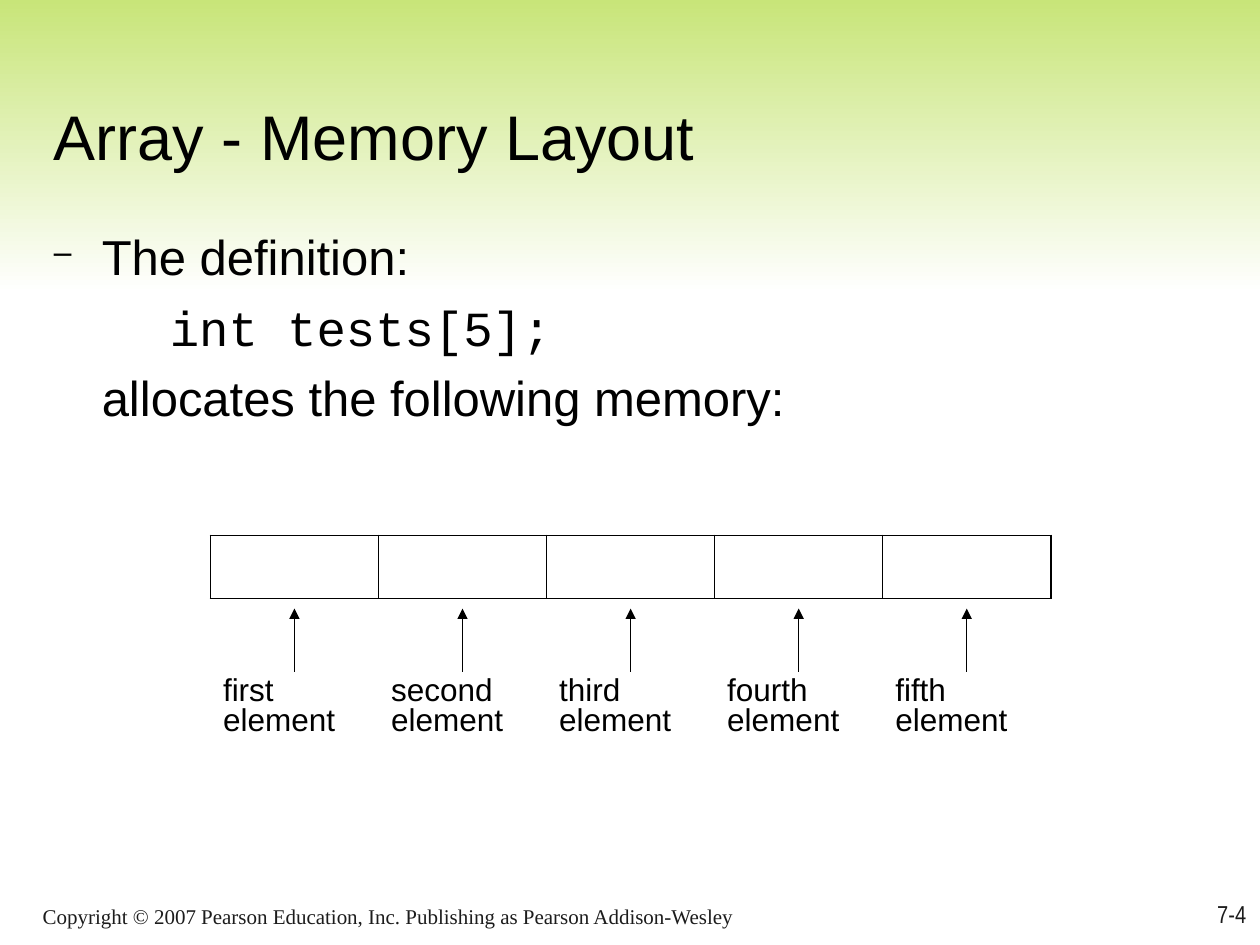
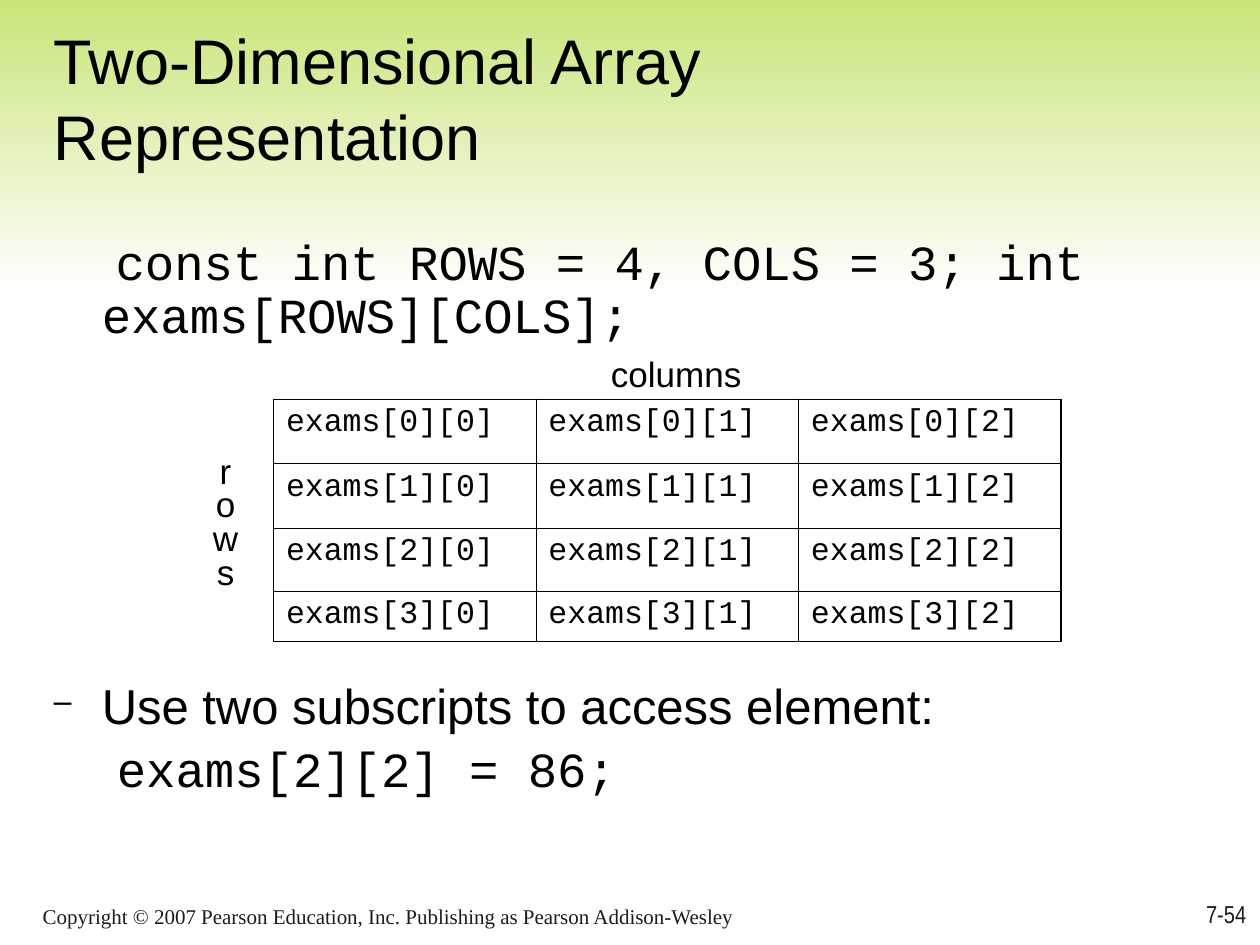
import pptx
import pptx.util
import pptx.dml.color
import pptx.enum.shapes
import pptx.enum.text
import pptx.oxml
import pptx.oxml.ns
import lxml.etree

Inches = pptx.util.Inches
Pt = pptx.util.Pt
Align = pptx.enum.text.PP_ALIGN
Anchor = pptx.enum.text.MSO_ANCHOR
qn = pptx.oxml.ns.qn


# Shared colours, fonts and sizes
class Theme:
    black = "000000"
    grey = "1C1C1C"
    lime = "C8E579"
    white = "FFFFFF"
    sans = "Arial"
    slim = "Arial Narrow"
    mono = "Courier New"
    serif = "Times New Roman"
    title = 36
    body = 28
    label = 20
    cell = 18
    page = 14
    foot = 12
    thick = 1.08
    thin = 0.45


def write(frame, text, size=Theme.body, font=Theme.sans, color=Theme.black,
          align=Align.LEFT, line=None, before=0, left=0, first=0, dash=False):
    """Add one paragraph to a text frame, filling the first if it is empty."""
    para = frame.paragraphs[0]
    if para.runs:
        para = frame.add_paragraph()
    props = para._p.get_or_add_pPr()
    props.set("marL", str(Inches(left)))
    props.set("indent", str(Inches(first)))
    if dash:
        tint = lxml.etree.SubElement(props, qn("a:buClr"))
        lxml.etree.SubElement(tint, qn("a:srgbClr"), val=color)
        lxml.etree.SubElement(props, qn("a:buSzPct"), val="65000")
        lxml.etree.SubElement(props, qn("a:buChar"), char="–")
    para.alignment = align
    if line:
        para.line_spacing = line
    if before:
        para.space_before = Pt(before)
    run = para.add_run()
    run.text = text
    run.font.size = Pt(size)
    run.font.name = font
    run.font.color.rgb = pptx.dml.color.RGBColor.from_string(color)


def grid(slide, left, top, width, highs, texts, lines=True, **look):
    """Add a table with thick outer and thin inner borders, or with none."""
    rows, cols = len(texts), len(texts[0])
    table = slide.shapes.add_table(
        rows, cols, Inches(left), Inches(top), Inches(width), Inches(sum(highs))).table
    table.first_row = table.horz_banding = False
    for col in table.columns:
        col.width = Inches(width / cols)
    for r, high in enumerate(highs):
        table.rows[r].height = Inches(high)
        for c, text in enumerate(texts[r]):
            cell = table.cell(r, c)
            props = cell._tc.get_or_add_tcPr()
            outer = {"L": c == 0, "R": c == cols - 1, "T": r == 0, "B": r == rows - 1}
            for side, edge in outer.items():
                weight = Theme.thick if edge else Theme.thin
                rule = lxml.etree.SubElement(props, qn("a:ln" + side), w=str(Pt(weight)))
                if lines:
                    fill = lxml.etree.SubElement(rule, qn("a:solidFill"))
                    lxml.etree.SubElement(fill, qn("a:srgbClr"), val=Theme.black)
                else:
                    lxml.etree.SubElement(rule, qn("a:noFill"))
            cell.fill.background()
            if text:
                write(cell.text_frame, text, size=Theme.cell, **look)


deck = pptx.Presentation()
deck.slide_width = Inches(10)
deck.slide_height = Inches(7.5)

# Formats of the recurring kinds of text
head = dict(size=Theme.title)
point = dict(left=0.38, first=-0.38, dash=True)
tag = dict(size=Theme.label)
stack = dict(size=Theme.label, align=Align.CENTER, line=0.8)
number = dict(size=Theme.page, font=Theme.slim, color=Theme.grey, align=Align.RIGHT)
notice = dict(size=Theme.foot, font=Theme.serif, color=Theme.grey)
credit = "Copyright © 2007 Pearson Education, Inc. Publishing as Pearson Addison-Wesley"

# Text of each slide: place, anchor, paragraphs
pages = [
    ("7-4", [
        ((0.33, 0.33, 8.47, 1.09), Anchor.BOTTOM, [("Array - Memory Layout", head)]),
        ((0.33, 1.75, 9.07, 2), Anchor.TOP, [
            ("The definition:", point),
            ("int tests[5];", dict(font=Theme.mono, left=0.92, before=7)),
            ("allocates the following memory:", dict(left=0.38, before=6.5))]),
    ]),
    ("7-54", [
        ((0.33, 0.17, 8.5, 1.25), Anchor.BOTTOM,
         [("Two-Dimensional Array Representation", head)]),
        ((0.33, 1.84, 8.5, 0.95), Anchor.TOP,
         [("const int ROWS = 4, COLS = 3; int exams[ROWS][COLS];",
           dict(font=Theme.mono, left=0.38, first=0.11, line=0.9))]),
        ((4.75, 2.75, 1.5, 0.44), Anchor.TOP, [("columns", tag)]),
        ((1.54, 3.58, 0.5, 1.17), Anchor.TOP, [(char, stack) for char in "rows"]),
        ((0.33, 5.31, 8.5, 1.2), Anchor.TOP, [
            ("Use two subscripts to access element:", point),
            ("exams[2][2] = 86;", dict(font=Theme.mono, left=0.5, before=2.5))]),
    ]),
]

for page, boxes in pages:
    slide = deck.slides.add_slide(deck.slide_layouts[6])

    # Band across the top
    band = slide.shapes.add_shape(
        pptx.enum.shapes.MSO_SHAPE.RECTANGLE, 0, 0, Inches(10), Inches(2.33))
    band.shadow.inherit = False
    band.line.fill.background()
    band.fill.gradient()
    band.fill.gradient_angle = 270
    for stop, (spot, tint) in zip(band.fill.gradient_stops,
                                  [(0, Theme.lime), (1, Theme.white)]):
        stop.position = spot
        stop.color.rgb = pptx.dml.color.RGBColor.from_string(tint)

    # Footer, title and body
    shared = [
        ((7.91, 6.92, 2.08, 0.5), Anchor.BOTTOM, [(page, number)]),
        ((0.24, 7, 5.92, 0.42), Anchor.BOTTOM, [(credit, notice)]),
    ]
    for place, anchor, paras in shared + boxes:
        frame = slide.shapes.add_textbox(*map(Inches, place)).text_frame
        frame.word_wrap = True
        frame.vertical_anchor = anchor
        for text, look in paras:
            write(frame, text, **look)

# Memory cells, their labels and the arrows between
first, second = deck.slides
names = ["first", "second", "third", "fourth", "fifth"]
left, width = 1.67, 6.67
step = width / len(names)
grid(first, left, 4.25, width, [0.5], [[""] * len(names)])
grid(first, left, 5.33, width, [0.92], [[name + " element" for name in names]],
     lines=False, line=0.85)
for n in range(len(names)):
    mid = Inches(left + step * (n + 0.5))
    arrow = first.shapes.add_connector(
        pptx.enum.shapes.MSO_CONNECTOR.STRAIGHT, mid, Inches(5.33), mid, Inches(4.83))
    arrow.line.width = Pt(0.75)
    arrow.line.color.rgb = pptx.dml.color.RGBColor.from_string(Theme.black)
    lxml.etree.SubElement(arrow.line._get_or_add_ln(), qn("a:tailEnd"), type="triangle")
    lxml.etree.SubElement(arrow._element.spPr, qn("a:effectLst"))

# Table of the two-dimensional array
grid(second, 2.17, 3.17, 6.25, [0.51, 0.51, 0.5, 0.4],
     [[f"exams[{r}][{c}]" for c in range(3)] for r in range(4)], font=Theme.mono)

deck.save("out.pptx")
